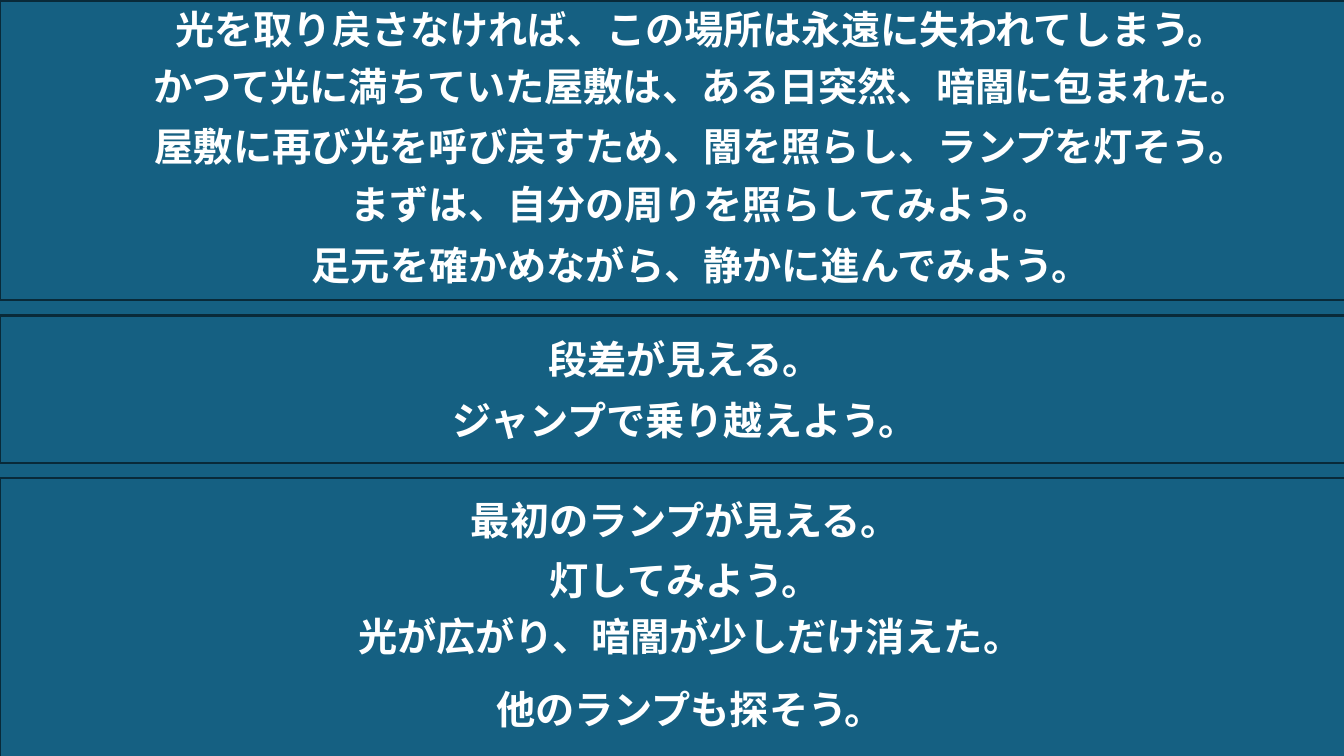
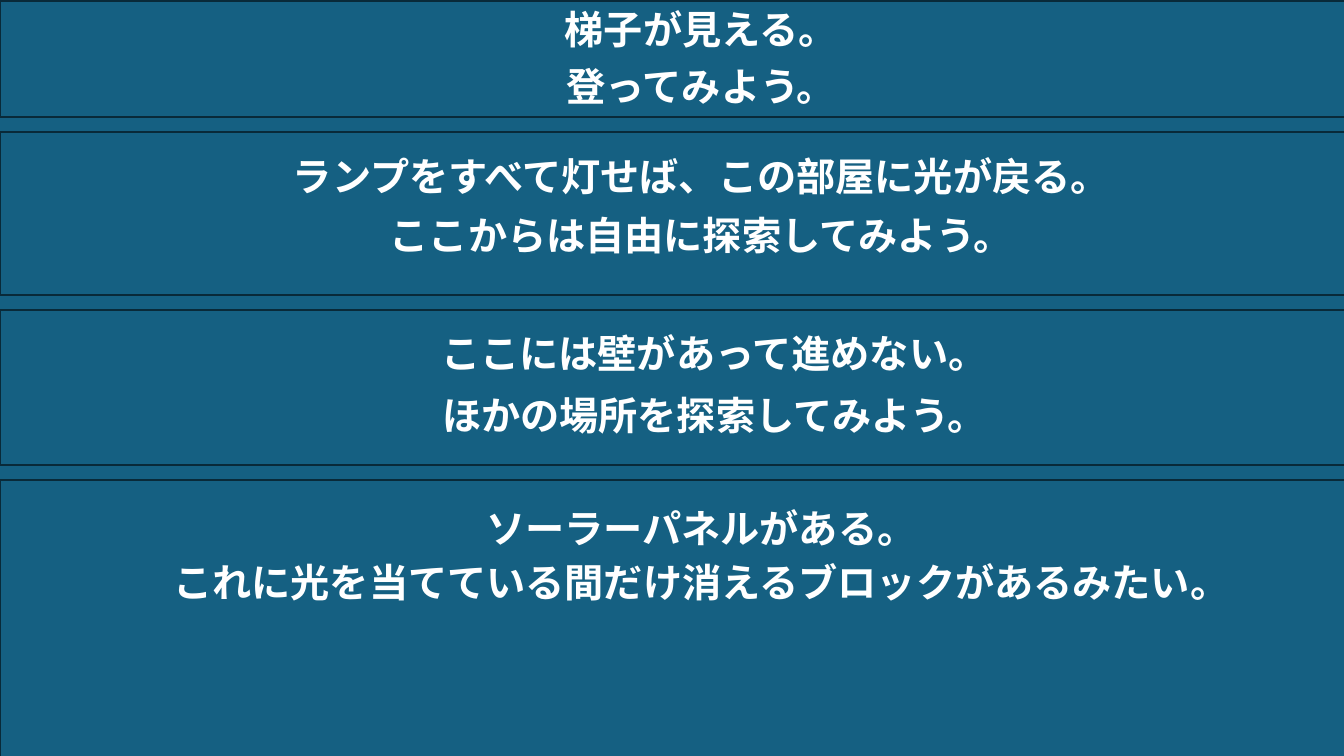
"""Build two slides of story messages separated by horizontal bars."""
from dataclasses import dataclass

from lxml import etree
from pptx import Presentation
from pptx.dml.color import RGBColor
from pptx.enum.shapes import MSO_SHAPE
from pptx.enum.text import MSO_AUTO_SIZE, PP_ALIGN
from pptx.oxml.ns import qn
from pptx.slide import Slide
from pptx.util import Emu, Pt

RECTANGLE = MSO_SHAPE.RECTANGLE
CENTER = PP_ALIGN.CENTER
FIT_SHAPE = MSO_AUTO_SIZE.SHAPE_TO_FIT_TEXT

EMU_PER_PX = 9144
SLIDE_WIDTH, SLIDE_HEIGHT = 1333, 750
TEXT_LEFT, TEXT_WIDTH, TEXT_HEIGHT = 105, 1181, 59
BAR_WIDTH, BAR_HEIGHT = 1459, 15
BAR_LEFT = (SLIDE_WIDTH - BAR_WIDTH) // 2

PANEL_FILL = "156082"
PANEL_LINE = "092A39"
TEXT_COLOR = "FFFFFF"
FONT_NAME = "Noto Sans CJK JP"
FONT_FORMAT = {"name": FONT_NAME, "size": Pt(28), "bold": True}


@dataclass(frozen=True)
class Box:
    left: int
    top: int
    width: int
    height: int


@dataclass(frozen=True)
class Message:
    text: str
    top: int
    left: int = TEXT_LEFT


@dataclass(frozen=True)
class Page:
    messages: tuple[Message, ...]
    bar_tops: tuple[int, ...]


PANEL = Box(0, 1, 1346, 768)

PAGES = (
    Page(
        messages=(
            Message("光を取り戻さなければ、この場所は永遠に失われてしまう。", 0),
            Message("かつて光に満ちていた屋敷は、ある日突然、暗闇に包まれた。", 57),
            Message("屋敷に再び光を呼び戻すため、闇を照らし、ランプを灯そう。", 116),
            Message("まずは、自分の周りを照らしてみよう。", 174),
            Message("足元を確かめながら、静かに進んでみよう。", 234),
            Message("段差が見える。", 328, 89),
            Message("ジャンプで乗り越えよう。", 388, 89),
            Message("最初のランプが見える。", 487, 89),
            Message("灯してみよう。", 547, 89),
            Message("光が広がり、暗闇が少しだけ消えた。", 603, 94),
            Message("他のランプも探そう。", 675, 94),
        ),
        bar_tops=(298, 459),
    ),
    Page(
        messages=(
            Message("梯子が見える。", 0),
            Message("登ってみよう。", 57),
            Message("ランプをすべて灯せば、この部屋に光が戻る。", 146),
            Message("ここからは自由に探索してみよう。", 205),
            Message("ここには壁があって進めない。", 322, 118),
            Message("ほかの場所を探索してみよう。", 383, 118),
            Message("ソーラーパネルがある。", 495),
            Message("これに光を当てている間だけ消えるブロックがあるみたい。", 549),
        ),
        bar_tops=(116, 293, 461),
    ),
)


def px(length: int) -> Emu:
    return Emu(length * EMU_PER_PX)


def color(value: str) -> RGBColor:
    return RGBColor.from_string(value)


def place(box: Box) -> tuple[Emu, Emu, Emu, Emu]:
    return px(box.left), px(box.top), px(box.width), px(box.height)


def add_rectangle(slide: Slide, box: Box) -> None:
    shape = slide.shapes.add_shape(RECTANGLE, *place(box))
    shape.shadow.inherit = False
    shape.fill.solid()
    shape.fill.fore_color.rgb = color(PANEL_FILL)
    shape.line.color.rgb = color(PANEL_LINE)
    shape.line.width = Pt(1.5)


def add_message(slide: Slide, message: Message) -> None:
    box = Box(message.left, message.top, TEXT_WIDTH, TEXT_HEIGHT)
    text_frame = slide.shapes.add_textbox(*place(box)).text_frame
    text_frame.word_wrap = True
    text_frame.auto_size = FIT_SHAPE
    paragraph = text_frame.paragraphs[0]
    paragraph.alignment = CENTER
    run = paragraph.add_run()
    run.text = message.text
    run.font.color.rgb = color(TEXT_COLOR)
    for attribute, value in FONT_FORMAT.items():
        setattr(run.font, attribute, value)
    properties = run._r.get_or_add_rPr()
    etree.SubElement(properties, qn("a:ea"), typeface=FONT_NAME)


def add_page(presentation: Presentation, page: Page) -> None:
    slide = presentation.slides.add_slide(presentation.slide_layouts[6])
    add_rectangle(slide, PANEL)
    for top in page.bar_tops:
        add_rectangle(slide, Box(BAR_LEFT, top, BAR_WIDTH, BAR_HEIGHT))
    for message in page.messages:
        add_message(slide, message)


def main() -> None:
    presentation = Presentation()
    presentation.slide_width = px(SLIDE_WIDTH)
    presentation.slide_height = px(SLIDE_HEIGHT)
    for page in PAGES:
        add_page(presentation, page)
    presentation.save("out.pptx")


if __name__ == "__main__":
    main()
